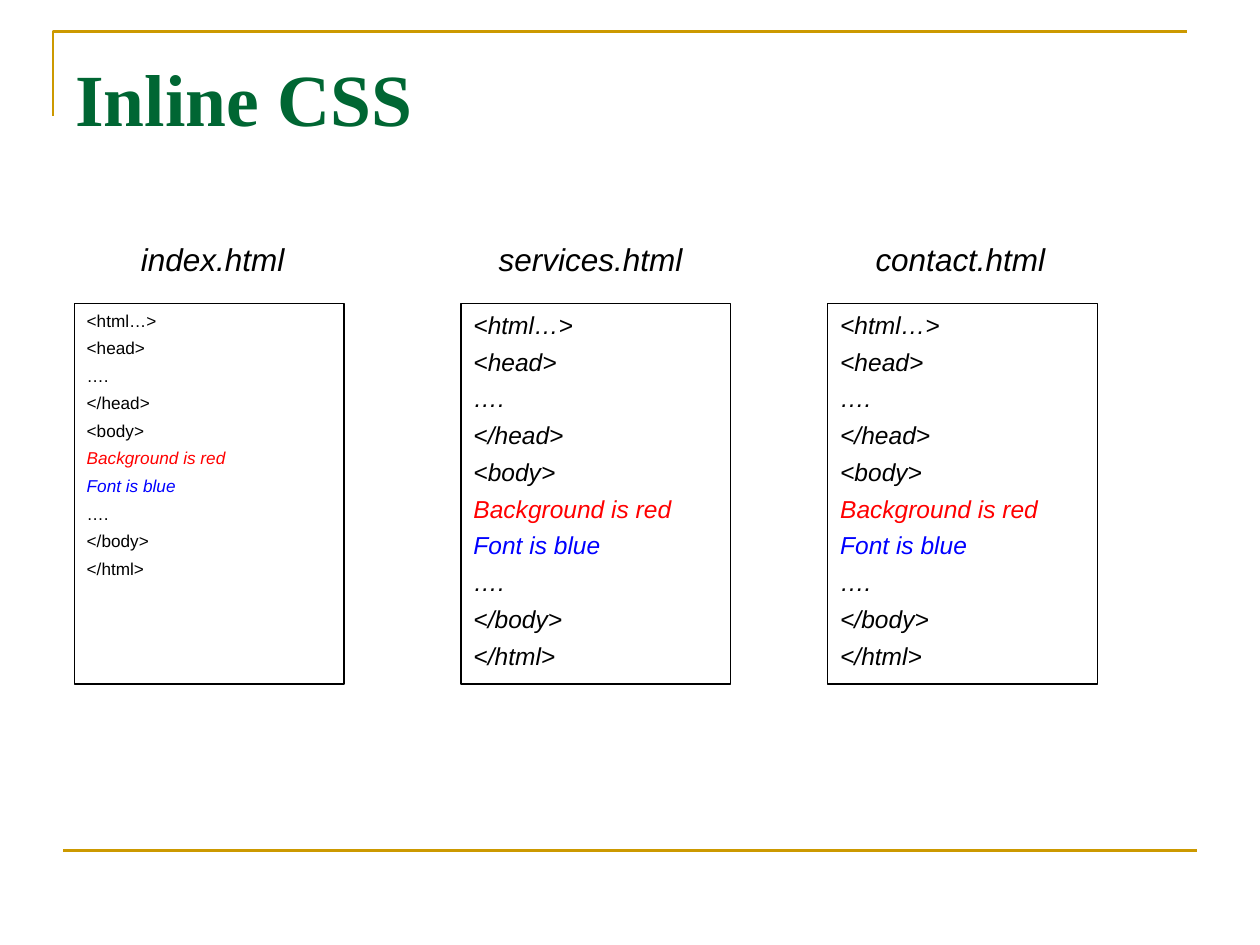
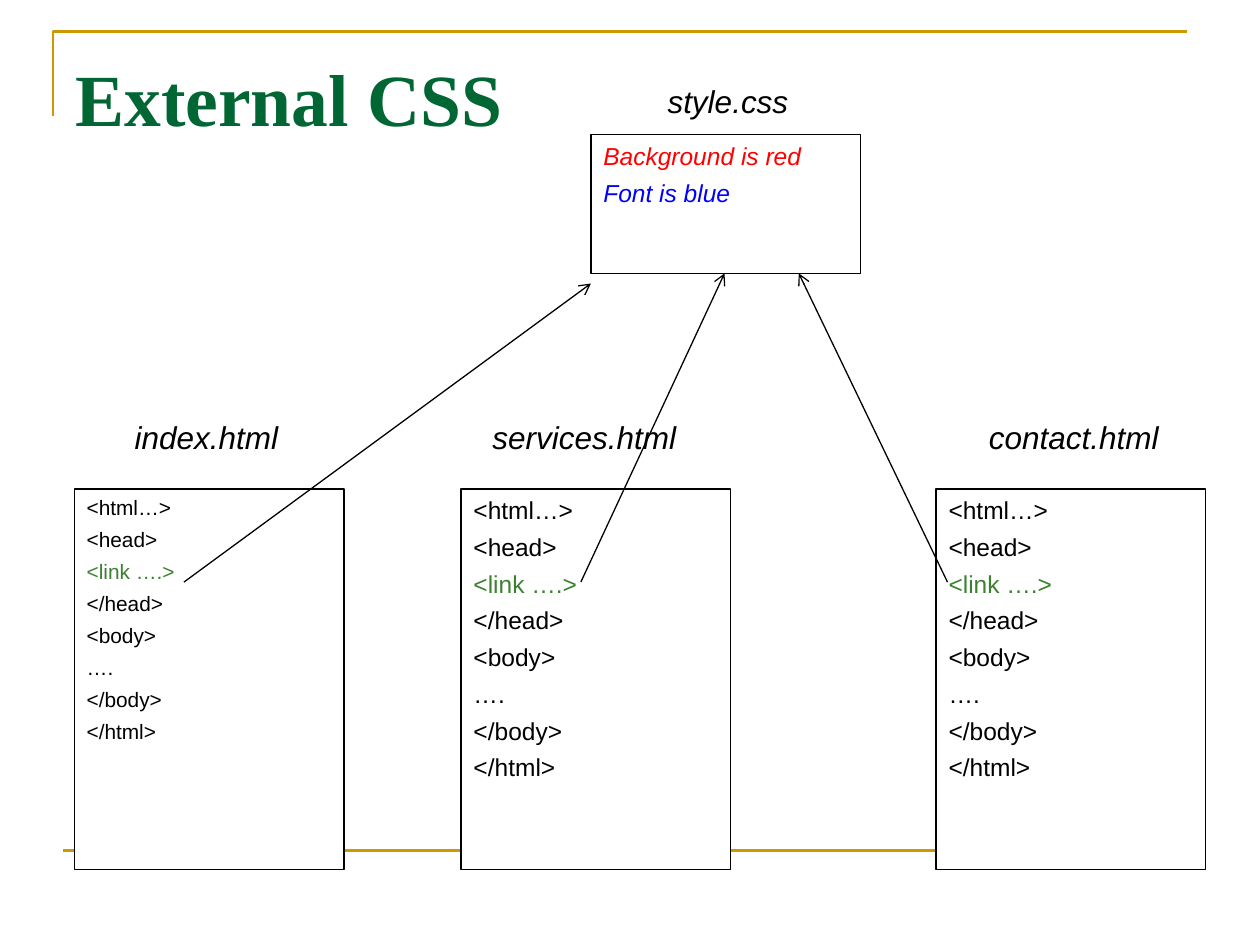
import pptx
import pptx.util
import pptx.dml.color
import pptx.enum.shapes
import pptx.enum.text
import pptx.oxml.ns
import lxml.etree

Inches, Pt = pptx.util.Inches, pptx.util.Pt
RGB = pptx.dml.color.RGBColor.from_string
RECTANGLE = pptx.enum.shapes.MSO_SHAPE.RECTANGLE
STRAIGHT = pptx.enum.shapes.MSO_CONNECTOR.STRAIGHT

COLORS = {"gold": "CC9900", "title": "006633", "ink": "000000", "paper": "FFFFFF",
          "red": "FF0000", "blue": "0000FF", "link": "3B812F"}
RULES = {"Background is red": "red", "Font is blue": "blue", "<link ….>": "link"}
STYLE_RULES = ["Background is red", "Font is blue"]
INLINE_PAGE = ["<html…>", "<head>", "….", "</head>", "<body>", *STYLE_RULES,
               "….", "</body>", "</html>"]
LINKED_PAGE = ["<html…>", "<head>", "<link ….>", "</head>", "<body>",
               "….", "</body>", "</html>"]
PAGE_WIDTH, PAGE_HEIGHT = 2.14, 3.02


def write(shape, lines, size, font="Arial", color="ink", bold=False, italic=False,
          gap=0, wrap=True, inset_top=0.05):
    """Write lines into a shape; style rules and links take their own colour."""
    frame = shape.text_frame
    frame.word_wrap = wrap
    frame.vertical_anchor = pptx.enum.text.MSO_ANCHOR.TOP
    frame.margin_left = frame.margin_right = Inches(0.1)
    frame.margin_top, frame.margin_bottom = Inches(inset_top), Inches(0.05)
    for number, line in enumerate(lines):
        paragraph = frame.add_paragraph() if number else frame.paragraphs[0]
        paragraph.alignment = pptx.enum.text.PP_ALIGN.LEFT
        if number:
            paragraph.space_before = Pt(gap)
        run = paragraph.add_run()
        run.text = line
        run.font.name, run.font.size, run.font.bold = font, Pt(size), bold
        run.font.italic = italic or line in STYLE_RULES
        run.font.color.rgb = RGB(COLORS[RULES.get(line, color)])


def draw_line(slide, start, end, color, width, arrow=False):
    line = slide.shapes.add_connector(STRAIGHT, *map(Inches, start + end))
    line.line.color.rgb = RGB(COLORS[color])
    line.line.width = Pt(width)
    if arrow:
        head = lxml.etree.SubElement(line.line._get_or_add_ln(),
                                     pptx.oxml.ns.qn("a:tailEnd"))
        head.set("type", "arrow")
    lxml.etree.SubElement(line._element.spPr, pptx.oxml.ns.qn("a:effectLst"))


# Files: left, top, height, lines, size, italic; labels: name, left, top, width
slides = [
    {"title": "Inline CSS",
     "files": [(0.59, 2.41, PAGE_HEIGHT, INLINE_PAGE, 9.8, False),
               (3.66, 2.41, PAGE_HEIGHT, INLINE_PAGE, 14, True),
               (6.57, 2.41, PAGE_HEIGHT, INLINE_PAGE, 14, True)],
     "arrows": [],
     "labels": [("index.html", 1.02, 1.86, 1.34),
                ("services.html", 3.86, 1.86, 1.66),
                ("contact.html", 6.85, 1.86, 1.55)]},
    {"title": "External CSS",
     "files": [(0.59, 3.88, PAGE_HEIGHT, LINKED_PAGE, 11.9, False),
               (3.66, 3.88, PAGE_HEIGHT, LINKED_PAGE, 14, False),
               (7.43, 3.88, PAGE_HEIGHT, LINKED_PAGE, 14, False),
               (4.69, 1.07, 1.1, STYLE_RULES, 14, True)],
     "arrows": [((1.46, 4.62), (4.69, 2.25)),
                ((4.61, 4.62), (5.75, 2.17)),
                ((7.52, 4.62), (6.34, 2.17))],
     "labels": [("index.html", 0.97, 3.27, 1.34),
                ("services.html", 3.81, 3.27, 1.66),
                ("contact.html", 7.75, 3.27, 1.55),
                ("style.css", 5.2, 0.6, 1.16)]},
]

deck = pptx.Presentation()
deck.slide_width, deck.slide_height = Inches(10), Inches(7.5)

for content in slides:
    slide = deck.slides.add_slide(deck.slide_layouts[6])

    # Gold corner and footer rule
    outline = slide.shapes.build_freeform(Inches(0.42), Inches(0.92))
    outline.add_line_segments([(Inches(0.42), Inches(0.25)),
                               (Inches(9.42), Inches(0.25))], close=False)
    corner = outline.convert_to_shape()
    corner.shadow.inherit = False
    corner.fill.background()
    corner.line.color.rgb = RGB(COLORS["gold"])
    corner.line.width = Pt(1.5)
    draw_line(slide, (0.5, 6.75), (9.5, 6.75), "gold", 1.5)

    # Title
    title = slide.shapes.add_textbox(Inches(0.5), Inches(0.3), Inches(9), Inches(1.25))
    write(title, [content["title"]], 42, font="Times New Roman", color="title",
          bold=True, inset_top=0.12)

    # File boxes
    for left, top, height, lines, size, italic in content["files"]:
        page = slide.shapes.add_shape(RECTANGLE, Inches(left), Inches(top),
                                      Inches(PAGE_WIDTH), Inches(height))
        page.shadow.inherit = False
        page.fill.solid()
        page.fill.fore_color.rgb = RGB(COLORS["paper"])
        page.line.color.rgb = RGB(COLORS["ink"])
        page.line.width = Pt(0.75)
        write(page, lines, size, italic=italic, gap=4.2 if size == 14 else 4)

    # Arrows from the link lines to the style sheet
    for start, end in content["arrows"]:
        draw_line(slide, start, end, "ink", 0.75, arrow=True)

    # File names
    for name, left, top, width in content["labels"]:
        label = slide.shapes.add_textbox(Inches(left), Inches(top),
                                         Inches(width), Inches(0.4))
        write(label, [name], 18, italic=True, wrap=False)

deck.save("out.pptx")
